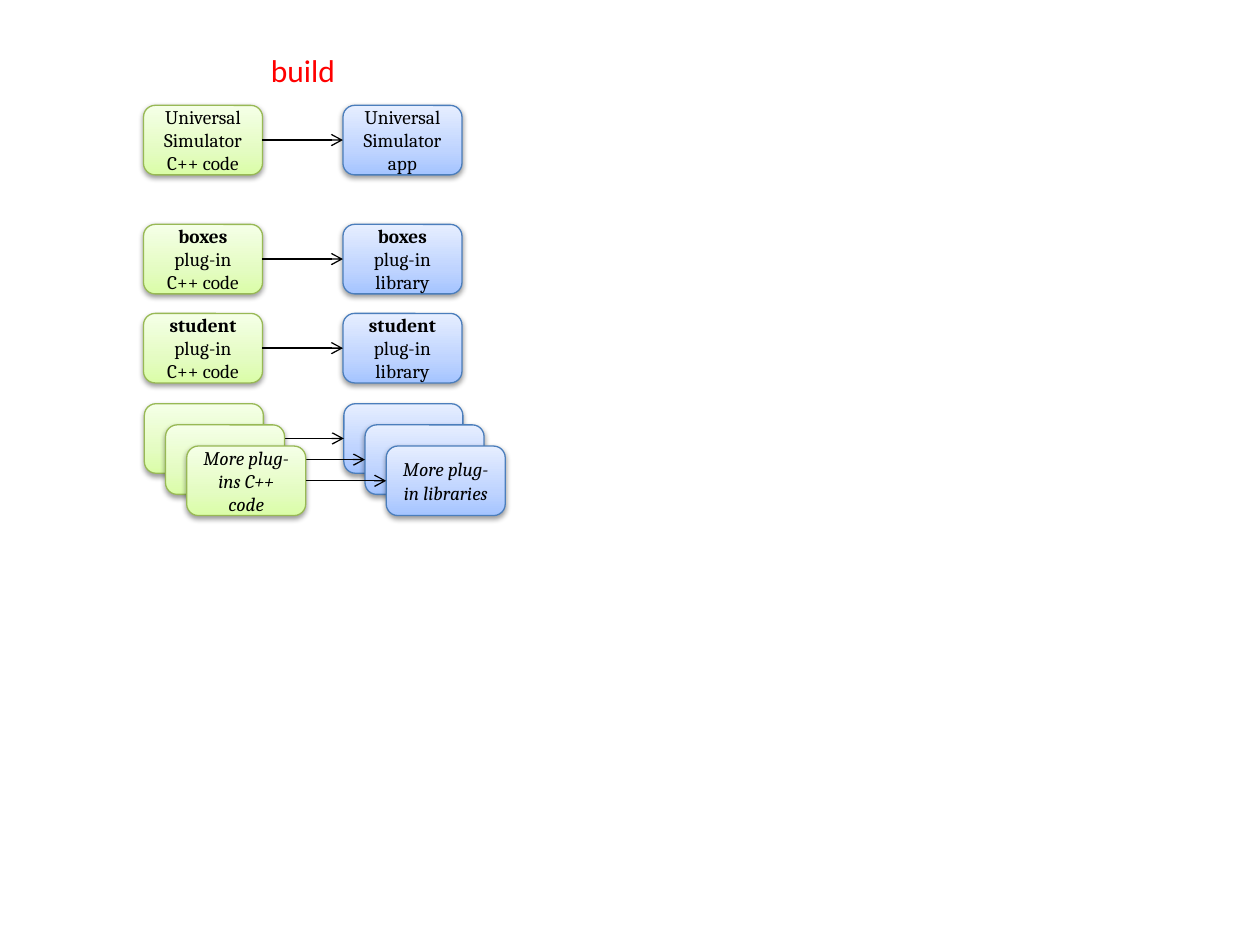
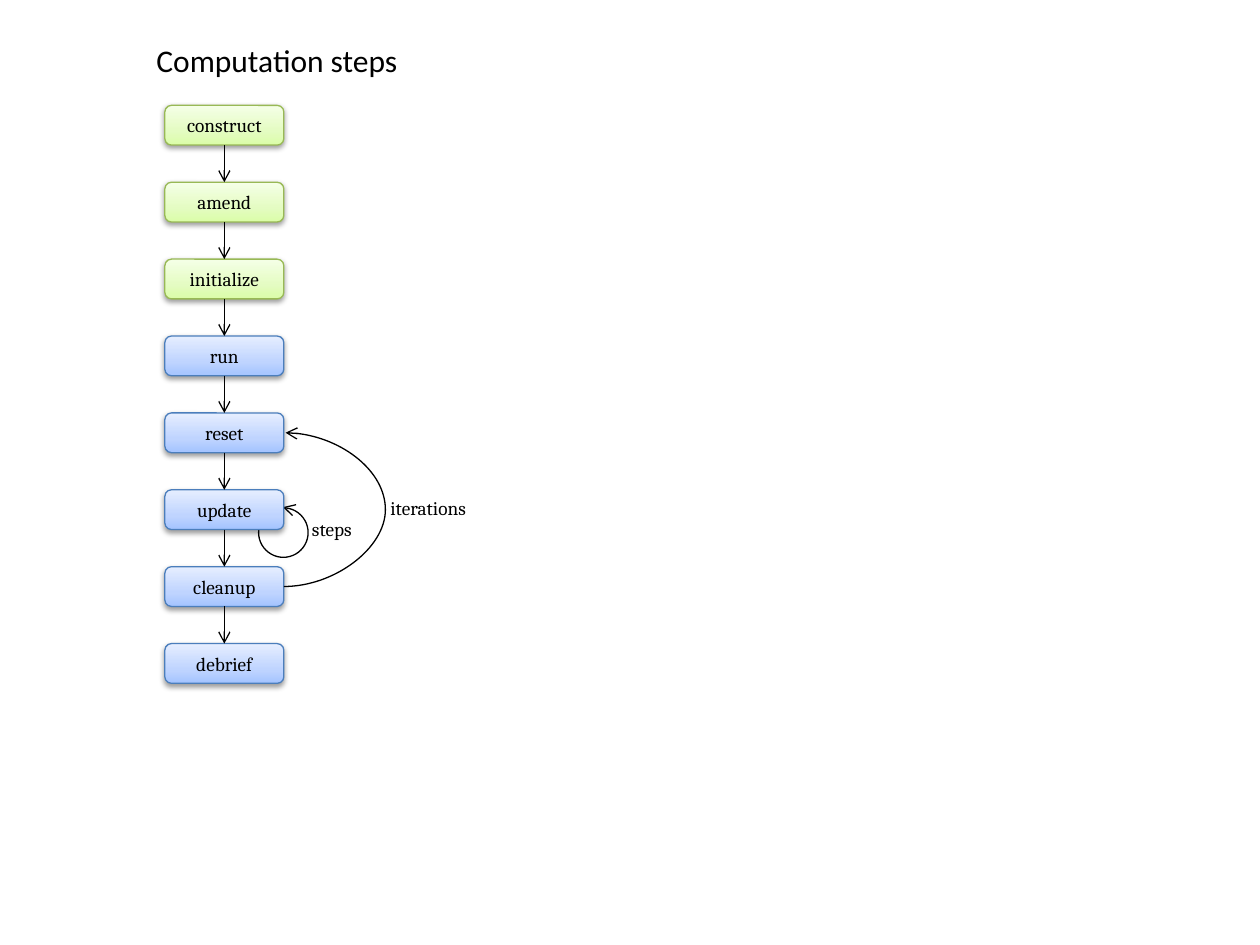
"""Builds two diagram slides: plug-in build flow and computation steps."""
import copy

import lxml.etree
import pptx
import pptx.dml.color
import pptx.enum.shapes
import pptx.enum.text
import pptx.oxml.ns
import pptx.util

Pt = pptx.util.Pt
RGB = pptx.dml.color.RGBColor.from_string
MSO = pptx.enum.shapes.MSO_SHAPE
CONN = pptx.enum.shapes.MSO_CONNECTOR
PP = pptx.enum.text
qn = pptx.oxml.ns.qn
sub = lxml.etree.SubElement

COLORS = {"black": "000000", "white": "FFFFFF", "red": "FF0000",
          "green_line": "98B955", "blue_line": "4B7EBC"}
GRADIENTS = {"green": ["DAFDA7", "E4FCC2", "F5FFE7"],
             "blue": ["A4C4FF", "BFD4FF", "E6EEFF"]}
HEAD, BODY = "Calibri", "Cambria"
LINE_W = Pt(0.75)
BOX_W = 68


def box(s, x, y, h, tone, paragraphs):
    """Add a rounded gradient box; each paragraph is a list of (text, style)."""
    sp = s.shapes.add_shape(MSO.ROUNDED_RECTANGLE, Pt(x), Pt(y), Pt(BOX_W), Pt(h))
    sp.fill.gradient()
    sp.fill.gradient_angle = 90
    stops = sp._element.spPr.find(".//" + qn("a:gsLst"))
    stops.insert(1, copy.deepcopy(stops[0]))
    for stop, pos, color in zip(sp.fill.gradient_stops, (0, 0.35, 1), GRADIENTS[tone]):
        stop.position = pos
        stop.color.rgb = RGB(color)
    sp.line.color.rgb = RGB(COLORS[tone + "_line"])
    sp.line.width = LINE_W
    sp.shadow.inherit = False
    shadow = sub(sp._element.spPr.find(qn("a:effectLst")), qn("a:outerShdw"),
                 blurRad=str(Pt(3.1)), dist=str(Pt(1.6)), dir="5400000", rotWithShape="0")
    clr = sub(shadow, qn("a:srgbClr"), val=COLORS["black"])
    sub(clr, qn("a:alpha"), val="38000")
    tf = sp.text_frame
    tf.word_wrap = True
    tf.vertical_anchor = PP.MSO_ANCHOR.MIDDLE
    for i, runs in enumerate(paragraphs):
        p = tf.add_paragraph() if i else tf.paragraphs[0]
        p.alignment = PP.PP_ALIGN.CENTER
        for text, style in runs:
            r = p.add_run()
            r.text = text
            r.font.size = Pt(11)
            r.font.name = BODY
            r.font.color.rgb = RGB(COLORS["black"])
            r.font.bold = style == "b"
            r.font.italic = style == "i"


def arrow(s, x1, y1, x2, y2, kind=CONN.STRAIGHT, head=True):
    """Add a thin black connector, by default with an open arrowhead."""
    c = s.shapes.add_connector(kind, Pt(x1), Pt(y1), Pt(x2), Pt(y2))
    c.line.color.rgb = RGB(COLORS["black"])
    c.line.width = LINE_W
    spPr = c._element.spPr
    if head:
        sub(spPr.find(qn("a:ln")), qn("a:tailEnd"), type="arrow")
    sub(spPr, qn("a:effectLst"))
    return c


prs = pptx.Presentation()
prs.slide_width, prs.slide_height = Pt(720), Pt(540)

slides = []
for text, color, x, y, w in [("build", "red", 147.6, 25.4, 51.8),
                             ("Computation steps", "black", 82.2, 19.6, 154)]:
    s = prs.slides.add_slide(prs.slide_layouts[5])
    sp = s.shapes.title
    sp.left, sp.top, sp.width, sp.height = Pt(x), Pt(y), Pt(w), Pt(29)
    tf = sp.text_frame
    tf.word_wrap = False
    tf.auto_size = PP.MSO_AUTO_SIZE.SHAPE_TO_FIT_TEXT
    tf.vertical_anchor = PP.MSO_ANCHOR.TOP
    p = tf.paragraphs[0]
    p.alignment = PP.PP_ALIGN.LEFT
    r = p.add_run()
    r.text = text
    r.font.size = Pt(18)
    r.font.name = HEAD
    r.font.color.rgb = RGB(COLORS[color])
    slides.append(s)
build, steps = slides

CODE_H, LIB_DX, STACK = 39.7, 114, 12.1
app = [[("Universal", "")], [("Simulator", "")]]
rows = [(82, 60.2, app + [[("C++ code", "")]], app + [[("app", "")]])]
for name, y in [("boxes", 128.2), ("student", 179.1)]:
    rows.append((82, y, [[(name, "b"), (" plug-in", "")], [("C++ code", "")]],
                 [[(name, "b"), (" plug-in library", "")]]))
for i in range(3):
    front = i == 2
    rows.append((82.5 + i * STACK, 230.7 + i * STACK,
                 [[("More plug-ins C++ code", "i")]] if front else [],
                 [[("More plug-in libraries", "i")]] if front else []))
for x, y, code, library in rows:
    box(build, x, y, CODE_H, "green", code)
    box(build, x + LIB_DX, y, CODE_H, "blue", library)
    arrow(build, x + BOX_W, y + CODE_H / 2, x + LIB_DX, y + CODE_H / 2)

sp = steps.shapes.add_shape(MSO.OVAL, Pt(147.8), Pt(290.2), Pt(28.3), Pt(28.3))
sp.fill.solid()
sp.fill.fore_color.rgb = RGB(COLORS["white"])
sp.line.color.rgb = RGB(COLORS["black"])
sp.line.width = LINE_W
sp.shadow.inherit = False
for x, y in [(169.2, 288.4), (167.2, 294.6)]:
    arrow(steps, 162.4, 290, x, y, head=False)

STEP_X, STEP_Y, STEP_H, PITCH = 94.2, 60.2, 22.7, 43.94
names = ["construct", "amend", "initialize", "run", "reset", "update", "cleanup", "debrief"]
for i, name in enumerate(names):
    y = STEP_Y + i * PITCH
    box(steps, STEP_X, y, STEP_H, "green" if i < 3 else "blue", [[(name, "")]])
    if i:
        arrow(steps, STEP_X + BOX_W / 2, y - PITCH + STEP_H, STEP_X + BOX_W / 2, y)

right = STEP_X + BOX_W
reset_y, cleanup_y = [STEP_Y + names.index(n) * PITCH + STEP_H / 2 for n in ("reset", "cleanup")]
c = arrow(steps, right, cleanup_y, right + 1, reset_y, CONN.CURVE)
sub(c._element.spPr.find(".//" + qn("a:avLst")), qn("a:gd"), name="adj1", fmla="val 5850000")

for text, x, y, w in [("iterations", 216, 280.2, 60.2), ("steps", 171.2, 292.3, 39.4)]:
    sp = steps.shapes.add_textbox(Pt(x), Pt(y), Pt(w), Pt(20.6))
    tf = sp.text_frame
    tf.word_wrap = False
    tf.auto_size = PP.MSO_AUTO_SIZE.SHAPE_TO_FIT_TEXT
    r = tf.paragraphs[0].add_run()
    r.text = text
    r.font.size = Pt(11)
    r.font.name = BODY
    r.font.color.rgb = RGB(COLORS["black"])

prs.save("out.pptx")
